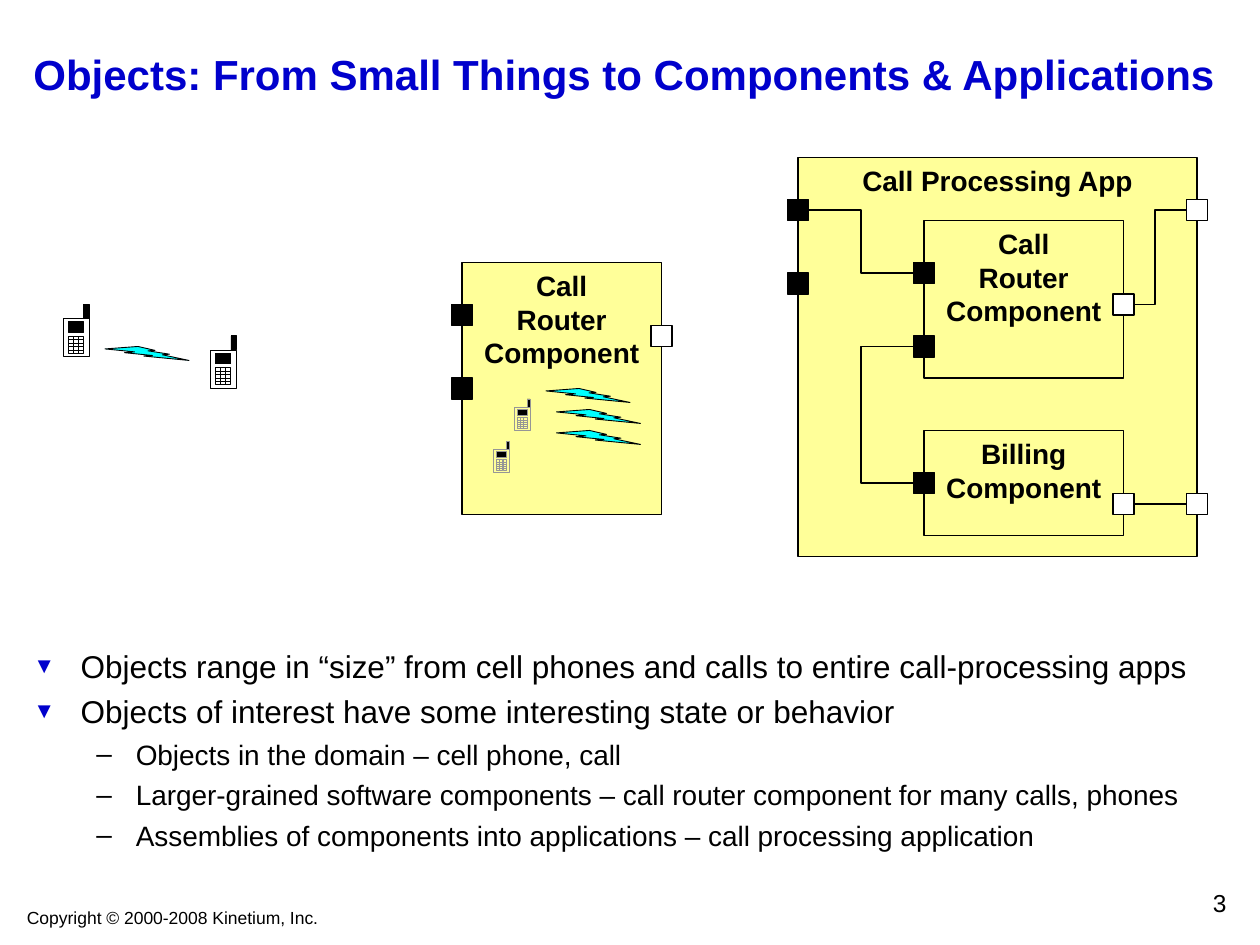
from dataclasses import dataclass

import pptx
import pptx.dml.color
import pptx.enum.shapes
import pptx.enum.text
import pptx.oxml
import pptx.oxml.ns
import pptx.util

Pt = pptx.util.Pt
RGBColor = pptx.dml.color.RGBColor
ShapeKind = pptx.enum.shapes.MSO_SHAPE
Align = pptx.enum.text.PP_ALIGN
Anchor = pptx.enum.text.MSO_ANCHOR


@dataclass(frozen=True)
class Theme:
    font: str = "Arial"
    black: str = "000000"
    white: str = "FFFFFF"
    blue: str = "0000CC"
    yellow: str = "FFFF99"
    cyan: str = "00FFFF"
    gray: str = "969696"
    title_size: float = 24
    bullet_size: float = 18
    label_size: float = 16
    number_size: float = 14
    footer_size: float = 10
    thin: float = 0.5
    medium: float = 1


theme = Theme()


def write(paragraph, text, size, color=theme.black, bold=False):
    """Add one run per line of text, with line breaks between them."""
    for index, line in enumerate(text.split("\n")):
        if index:
            paragraph.add_line_break()
        run = paragraph.add_run()
        run.text = line
        run.font.name = theme.font
        run.font.size = Pt(size)
        run.font.bold = bold
        run.font.color.rgb = RGBColor.from_string(color)


def draw(shapes, kind, bounds, fill=None, line=theme.black, width=theme.thin):
    """Add a preset shape; bounds are left, top, width and height in points."""
    shape = shapes.add_shape(kind, *[Pt(value) for value in bounds])
    shape.shadow.inherit = False
    if fill:
        shape.fill.solid()
        shape.fill.fore_color.rgb = RGBColor.from_string(fill)
    else:
        shape.fill.background()
    shape.line.color.rgb = RGBColor.from_string(line)
    shape.line.width = Pt(width)
    return shape


presentation = pptx.Presentation()
presentation.slide_width = Pt(720)
presentation.slide_height = Pt(540)
slide = presentation.slides.add_slide(presentation.slide_layouts[6])

# Title, footer and page number
texts = [
    ((12, 12, 696, 60), "Objects: From Small Things to Components & Applications",
     theme.title_size, theme.blue, True, Align.LEFT, Anchor.MIDDLE),
    ((8, 515, 181, 19), "Copyright © 2000-2008 Kinetium, Inc.",
     theme.footer_size, theme.black, False, Align.CENTER, Anchor.TOP),
    ((558, 504, 150, 24), "3",
     theme.number_size, theme.black, False, Align.RIGHT, Anchor.TOP),
]
for bounds, text, size, color, bold, alignment, anchor in texts:
    frame = slide.shapes.add_textbox(*[Pt(value) for value in bounds]).text_frame
    frame.word_wrap = True
    frame.vertical_anchor = anchor
    frame.paragraphs[0].alignment = alignment
    write(frame.paragraphs[0], text, size, color, bold)

# Bullet list
bullets = [
    (0, "Objects range in “size” from cell phones and calls to entire call-processing apps"),
    (0, "Objects of interest have some interesting state or behavior"),
    (1, "Objects in the domain – cell phone, call"),
    (1, "Larger-grained software components – call router component for many calls, phones"),
    (1, "Assemblies of components into applications – call processing application"),
]
# Per level: left margin, hanging indent, space before, size, mark, mark colour, mark percent
levels = [
    (27, 27, 4.5, theme.bullet_size, "▼", theme.blue, 70),
    (58.5, 22.5, 4, theme.label_size, "–", theme.black, 100),
]
frame = slide.shapes.add_textbox(Pt(12), Pt(366), Pt(696), Pt(126)).text_frame
frame.word_wrap = True
for index, (level, text) in enumerate(bullets):
    margin, hanging, space, size, mark, color, percent = levels[level]
    paragraph = frame.add_paragraph() if index else frame.paragraphs[0]
    paragraph.level = level
    properties = paragraph._p.get_or_add_pPr()
    properties.set("marL", str(Pt(margin)))
    properties.set("indent", str(-Pt(hanging)))
    namespace = pptx.oxml.ns.nsdecls("a")
    for element in (
        f'<a:buClr {namespace}><a:srgbClr val="{color}"/></a:buClr>',
        f'<a:buSzPct {namespace} val="{percent * 1000}"/>',
        f'<a:buFont {namespace} typeface="{theme.font}"/>',
        f'<a:buChar {namespace} char="{mark}"/>',
    ):
        properties.append(pptx.oxml.parse_xml(element))
    if index:
        paragraph.space_before = Pt(space)
    write(paragraph, text, size)

# Components, each with the centres of its input (black) and output (white) ports
router = "Call\nRouter\nComponent"
components = [
    (router, (264, 150, 114, 144), [(264, 180), (264, 222)], [(378, 192)]),
    ("Call Processing App", (456, 90, 228, 228),
     [(456, 120), (456, 162)], [(684, 120), (684, 288)]),
    (router, (528, 126, 114, 90), [(528, 156), (528, 198)], [(642, 174)]),
    ("Billing\nComponent", (528, 246, 114, 60), [(528, 276)], [(642, 288)]),
]
port_size = 12
ports = {}
for label, bounds, inputs, outputs in components:
    box = draw(slide.shapes, ShapeKind.RECTANGLE, bounds, theme.yellow, width=theme.medium)
    box.text_frame.word_wrap = False
    box.text_frame.vertical_anchor = Anchor.TOP
    box.text_frame.paragraphs[0].alignment = Align.CENTER
    write(box.text_frame.paragraphs[0], label, theme.label_size, bold=True)
    for centers, fill in ((inputs, theme.black), (outputs, theme.white)):
        for x, y in centers:
            port_bounds = (x - port_size / 2, y - port_size / 2, port_size, port_size)
            ports[x, y] = draw(slide.shapes, ShapeKind.RECTANGLE, port_bounds,
                               fill, width=theme.medium)

# Wires between ports
wires = [
    [(462, 120), (492, 120), (492, 156), (522, 156)],
    [(522, 198), (492, 198), (492, 276), (522, 276)],
    [(648, 174), (660, 174), (660, 120), (678, 120)],
]
for start, *corners in wires:
    builder = slide.shapes.build_freeform(*start, scale=Pt(1))
    builder.add_line_segments(corners, close=False)
    wire = builder.convert_to_shape()
    wire.shadow.inherit = False
    wire.fill.background()
    wire.line.color.rgb = RGBColor.from_string(theme.black)
    wire.line.width = Pt(theme.medium)

straight = pptx.enum.shapes.MSO_CONNECTOR.STRAIGHT
billing_wire = slide.shapes.add_connector(straight, Pt(648), Pt(288), Pt(678), Pt(288))
billing_wire.begin_connect(ports[642, 288], 3)
billing_wire.end_connect(ports[684, 288], 1)
connectors = [(billing_wire, theme.black, theme.medium)]

# Calls
for left, top in [(60, 198), (312, 222), (318, 234), (318, 246)]:
    draw(slide.shapes, ShapeKind.LIGHTNING_BOLT, (left, top, 48, 8), theme.cyan)

# Cell phones: body, screen, antenna and three columns of keys
phone_parts = [
    ((0, 8, 15, 22), None),
    ((3, 10, 9, 6), theme.black),
    ((12, 0, 3, 8), theme.black),
]
phone_parts += [((column, 18, 3, 10), None) for column in (3, 6, 9)]
phones = [
    (36, 174, 1, theme.black),
    (120, 192, 1, theme.black),
    (282, 252, 0.6, theme.gray),
    (294, 228, 0.6, theme.gray),
]
for left, top, scale, color in phones:
    phone = slide.shapes.add_group_shape()
    for (x, y, width, height), fill in phone_parts:
        bounds = (left + x * scale, top + y * scale, width * scale, height * scale)
        draw(phone.shapes, ShapeKind.RECTANGLE, bounds, fill, color)
    for column in (3, 6, 9):
        for row in (20, 22, 24, 26):
            y = Pt(top + row * scale)
            key_line = phone.shapes.add_connector(
                straight, Pt(left + column * scale), y, Pt(left + (column + 3) * scale), y)
            connectors.append((key_line, color, theme.thin))

for connector, color, width in connectors:
    connector.line.color.rgb = RGBColor.from_string(color)
    connector.line.width = Pt(width)
    effects = pptx.oxml.parse_xml(f'<a:effectLst {pptx.oxml.ns.nsdecls("a")}/>')
    connector._element.spPr.append(effects)

presentation.save("out.pptx")
